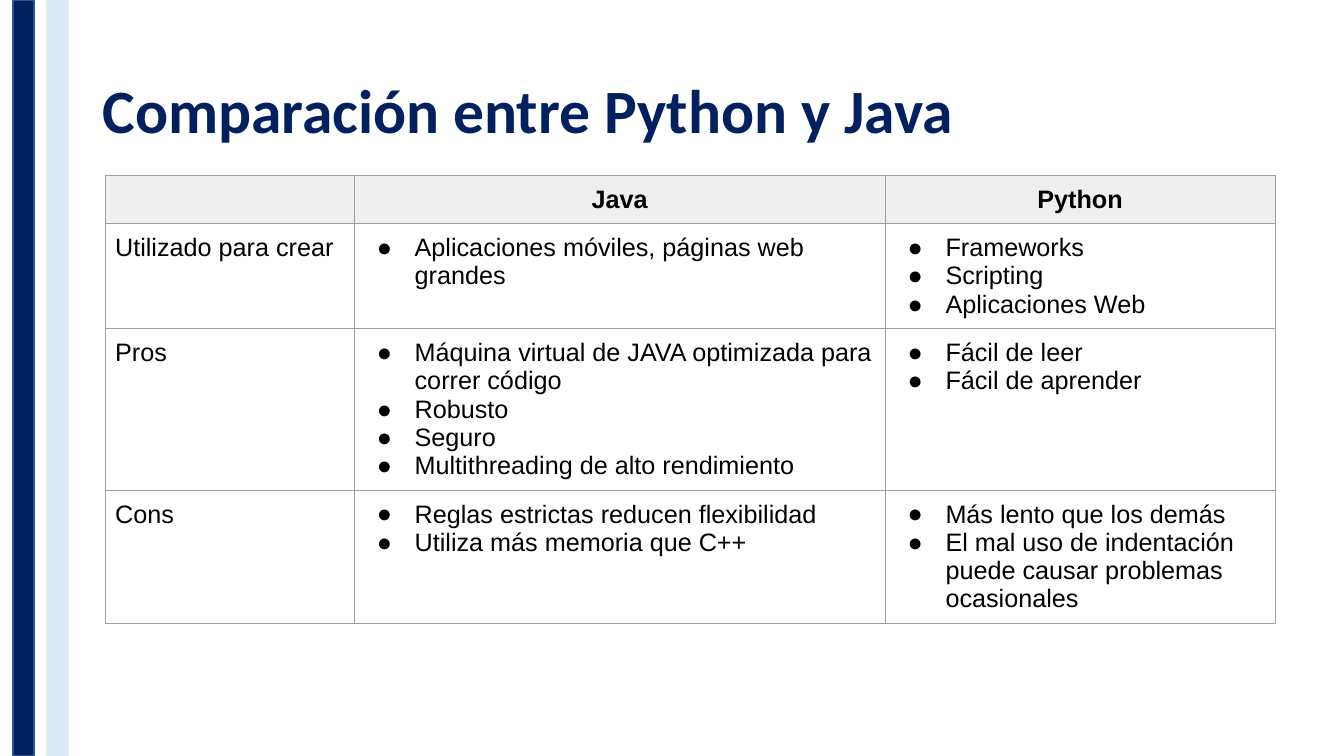
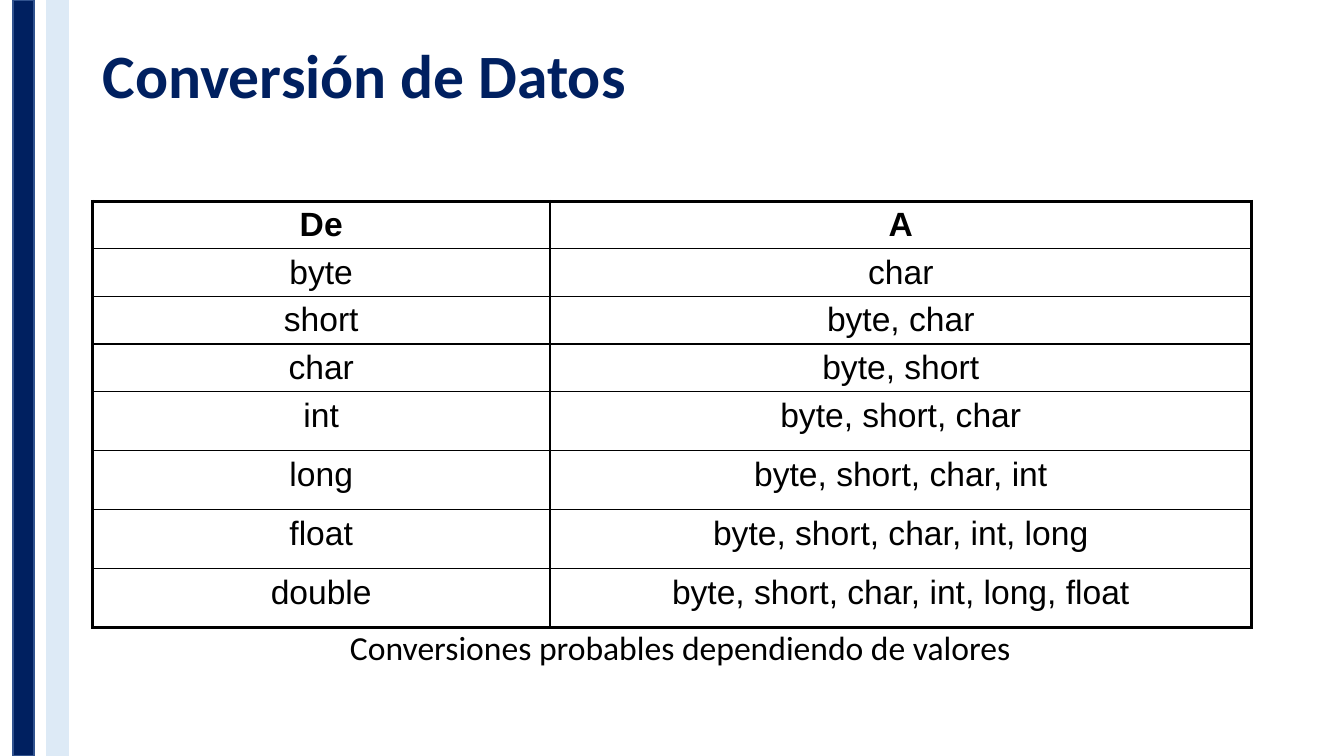
"""Builds two slides that compare Python with Java and list data conversions."""
from pptx import Presentation
from pptx.dml.color import RGBColor
from pptx.enum.shapes import MSO_SHAPE as SHAPE
from pptx.enum.text import MSO_ANCHOR as ANCHOR, MSO_AUTO_SIZE as FIT, PP_ALIGN as ALIGN
from pptx.oxml.ns import qn
from pptx.util import Pt
from lxml.etree import SubElement

COLORS = {"navy": "002060", "navy_edge": "31538F", "pale": "DDEAF6",
          "black": "000000", "grid": "9E9E9E", "header": "EFEFEF"}
BANDS = [(9.2, "navy", "navy_edge"), (33.6, "pale", "pale")]
BAND_WIDTH = 15
TITLE_FORMAT = {"name": "Calibri", "size": Pt(44), "bold": True}
CAPTION = "Conversiones probables dependiendo de valores"

COMPARISON = {
    "title": "Comparación entre Python y Java", "anchor": ANCHOR.MIDDLE,
    "rows": [
        ("", "Java", "Python"),
        ("Utilizado para crear",
         ["Aplicaciones móviles, páginas web grandes"],
         ["Frameworks", "Scripting", "Aplicaciones Web"]),
        ("Pros",
         ["Máquina virtual de JAVA optimizada para correr código", "Robusto",
          "Seguro", "Multithreading de alto rendimiento"],
         ["Fácil de leer", "Fácil de aprender"]),
        ("Cons",
         ["Reglas estrictas reducen flexibilidad", "Utiliza más memoria que C++"],
         ["Más lento que los demás",
          "El mal uso de indentación puede causar problemas ocasionales"]),
    ],
    "at": (75, 125.3), "widths": (178, 379.2, 278.6), "heights": (34, 75, 114.6, 95),
    "size": 18, "margins": (7.2, 7.2), "body_align": ALIGN.LEFT,
    "header_fill": "header", "border": "grid", "inner": 0.75, "outer": 0.75,
}
CONVERSION = {
    "title": "Conversión de Datos", "anchor": ANCHOR.TOP,
    "rows": [
        ("De", "A"),
        ("byte", "char"),
        ("short", "byte, char"),
        ("char", "byte, short"),
        ("int", "byte, short, char"),
        ("long", "byte, short, char, int"),
        ("float", "byte, short, char, int, long"),
        ("double", "byte, short, char, int, long, float"),
    ],
    "at": (66, 143.8), "widths": (326.9, 501.1), "heights": (34,) * 4 + (42.2,) * 4,
    "size": 24, "margins": (10, 3.6), "body_align": ALIGN.CENTER,
    "header_fill": None, "border": "black", "inner": 1, "outer": 2.25,
}


def rgb(key):
    return RGBColor.from_string(COLORS[key])


def apply(target, values):
    for name, value in values.items():
        setattr(target, name, value)


def style_font(font, values, color):
    apply(font, values)
    font.color.rgb = rgb(color)


def add_bands(slide, layout, height):
    tree = layout.shapes._spTree
    for position, (left, fill, edge) in enumerate(BANDS):
        band = slide.shapes.add_shape(SHAPE.RECTANGLE, Pt(left), 0, Pt(BAND_WIDTH), height)
        band.shadow.inherit = False
        band.fill.solid()
        band.fill.fore_color.rgb = rgb(fill)
        band.line.color.rgb = rgb(edge)
        band.line.width = Pt(1)
        tree.insert(2 + position, band._element)


def add_title(slide, text, anchor):
    title = slide.shapes.title
    apply(title, {"left": Pt(66), "top": Pt(29), "width": Pt(828), "height": Pt(104.4)})
    frame = title.text_frame
    apply(frame, {"text": text, "vertical_anchor": anchor, "auto_size": FIT.NONE})
    paragraph = frame.paragraphs[0]
    apply(paragraph, {"alignment": ALIGN.LEFT, "line_spacing": 0.9})
    style_font(paragraph.font, TITLE_FORMAT, "navy")


def add_bullet(paragraph):
    properties = paragraph._p.get_or_add_pPr()
    properties.set("marL", str(Pt(36)))
    properties.set("indent", str(-Pt(27)))
    color = SubElement(properties, qn("a:buClr"))
    SubElement(color, qn("a:srgbClr"), val=COLORS["black"])
    SubElement(properties, qn("a:buFont"), typeface="Arial")
    SubElement(properties, qn("a:buChar"), char="●")


def set_borders(cell, color, widths):
    properties = cell._tc.get_or_add_tcPr()
    for side, width in zip("LRTB", widths):
        line = SubElement(properties, qn(f"a:ln{side}"), w=str(Pt(width)))
        fill = SubElement(line, qn("a:solidFill"))
        SubElement(fill, qn("a:srgbClr"), val=COLORS[color])


def fill_cell(cell, entry, content, is_header):
    items = entry if isinstance(entry, list) else [entry]
    cell.text = "\n".join(items)
    for paragraph in cell.text_frame.paragraphs:
        if isinstance(entry, list):
            add_bullet(paragraph)
        paragraph.alignment = ALIGN.CENTER if is_header else content["body_align"]
        values = {"name": "Arial", "size": Pt(content["size"]), "bold": is_header}
        style_font(paragraph.font, values, "black")
    side, end = map(Pt, content["margins"])
    apply(cell, {"margin_left": side, "margin_right": side,
                 "margin_top": end, "margin_bottom": end})
    if is_header and content["header_fill"]:
        cell.fill.solid()
        cell.fill.fore_color.rgb = rgb(content["header_fill"])
    else:
        cell.fill.background()


def add_grid(slide, content):
    rows, widths, heights = content["rows"], content["widths"], content["heights"]
    left, top = map(Pt, content["at"])
    grid = slide.shapes.add_table(len(rows), len(widths), left, top,
                                  Pt(sum(widths)), Pt(sum(heights))).table
    apply(grid, {"first_row": False, "horz_banding": False})
    for column, width in zip(grid.columns, widths):
        column.width = Pt(width)
    for row, height in zip(grid.rows, heights):
        row.height = Pt(height)
    last_row, last_column = len(rows) - 1, len(widths) - 1
    for r, row in enumerate(rows):
        for c, entry in enumerate(row):
            cell = grid.cell(r, c)
            on_edge = (c == 0, c == last_column, r == 0, r == last_row)
            set_borders(cell, content["border"],
                        [content["outer" if edge else "inner"] for edge in on_edge])
            fill_cell(cell, entry, content, r == 0)


def add_caption(slide):
    caption = slide.shapes.add_textbox(Pt(168), Pt(444.2), Pt(635.8), Pt(36))
    frame = caption.text_frame
    apply(frame, {"text": CAPTION, "word_wrap": True, "auto_size": FIT.SHAPE_TO_FIT_TEXT})
    frame.paragraphs[0].alignment = ALIGN.CENTER
    style_font(frame.paragraphs[0].font, {"name": "Calibri", "size": Pt(24)}, "black")


def main():
    deck = Presentation()
    apply(deck, {"slide_width": Pt(960), "slide_height": Pt(540)})
    layout = deck.slide_layouts[5]
    slides = []
    for content in (COMPARISON, CONVERSION):
        slide = deck.slides.add_slide(layout)
        add_title(slide, content["title"], content["anchor"])
        add_grid(slide, content)
        slides.append(slide)
    add_bands(slides[0], layout, deck.slide_height)
    add_caption(slides[1])
    deck.save("out.pptx")


if __name__ == "__main__":
    main()
